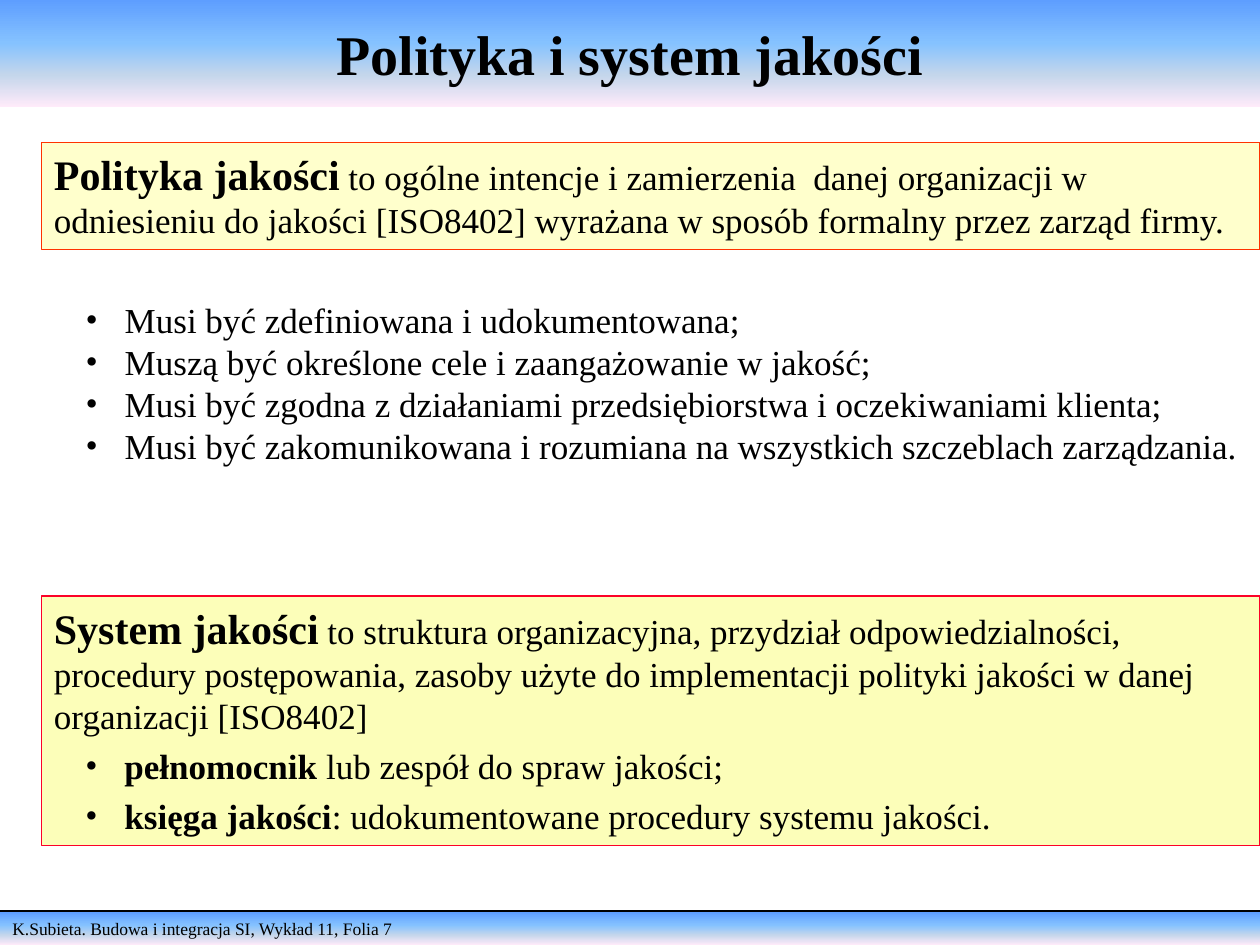
from copy import deepcopy

from lxml import etree
from pptx import Presentation
from pptx.dml.color import RGBColor
from pptx.enum.shapes import MSO_CONNECTOR, MSO_SHAPE
from pptx.enum.text import MSO_ANCHOR, MSO_AUTO_SIZE, PP_ALIGN
from pptx.oxml.ns import qn
from pptx.util import Inches, Pt

RECT = MSO_SHAPE.RECTANGLE
LINE = MSO_CONNECTOR.STRAIGHT
TOP, MIDDLE = MSO_ANCHOR.TOP, MSO_ANCHOR.MIDDLE
LEFT, CENTER = PP_ALIGN.LEFT, PP_ALIGN.CENTER
FIXED = MSO_AUTO_SIZE.NONE

BLACK = RGBColor(0x00, 0x00, 0x00)
CREAM = RGBColor(0xFF, 0xFF, 0xCC)
YELLOW = RGBColor(0xFC, 0xFE, 0xB9)
ORANGE = RGBColor(0xFF, 0x33, 0x00)
RED = RGBColor(0xFC, 0x01, 0x28)
SKY = [
    (0, RGBColor(0x5E, 0x9E, 0xFF)),
    (0.4, RGBColor(0x85, 0xC2, 0xFF)),
    (0.7, RGBColor(0xC4, 0xD6, 0xEB)),
    (1, RGBColor(0xFF, 0xEB, 0xFA)),
]

FONT = "Times New Roman"
HEAD = {"size": Pt(32), "bold": True}
TERM = {"size": Pt(24), "bold": True}
BOLD = {"size": Pt(20), "bold": True}
BODY = {"size": Pt(20), "bold": False}
SMALL = {"size": Pt(10), "bold": False}

RULES = [
    "Musi być zdefiniowana i udokumentowana;",
    "Muszą być określone cele i zaangażowanie w jakość;",
    "Musi być zgodna z działaniami przedsiębiorstwa i oczekiwaniami klienta;",
    "Musi być zakomunikowana i rozumiana na wszystkich szczeblach zarządzania.",
]
POLICY = [
    ("Polityka jakości", TERM),
    (" to ogólne intencje i zamierzenia  danej organizacji w odniesieniu do jakości "
     "[ISO8402] wyrażana w sposób formalny przez zarząd firmy.", BODY),
]
SYSTEM = [
    ("System jakości", TERM),
    (" to struktura organizacyjna, przydział odpowiedzialności, procedury postępowania, "
     "zasoby użyte do implementacji polityki jakości w danej organizacji [ISO8402]", BODY),
]
PARTS = [
    [("pełnomocnik", BOLD), (" lub zespół do spraw jakości;", BODY)],
    [("księga jakości", BOLD), (": udokumentowane procedury systemu jakości.", BODY)],
]


def place(shape, box):
    """Move a shape to a box given in inches."""
    for name, size in zip(("left", "top", "width", "height"), box):
        setattr(shape, name, Inches(size))


def shade(shape):
    """Fill a shape with the sky gradient from top to bottom."""
    shape.fill.gradient()
    shape.fill.gradient_angle = 270
    stops = shape.fill.gradient_stops
    rack = shape._element.spPr.find(".//" + qn("a:gsLst"))
    for _ in range(len(SKY) - len(stops)):
        rack.append(deepcopy(rack[0]))
    for stop, (spot, color) in zip(shape.fill.gradient_stops, SKY):
        stop.position = spot
        stop.color.rgb = color


def dot(para):
    """Give a paragraph a hanging round bullet."""
    props = para._p.get_or_add_pPr()
    props.set("marL", str(Inches(0.56)))
    props.set("indent", str(Inches(-0.31)))
    etree.SubElement(props, qn("a:buFont")).set("typeface", FONT)
    etree.SubElement(props, qn("a:buChar")).set("char", "•")


def write(shape, paras, anchor=TOP, align=LEFT, gap=0, plain=0):
    """Write paragraphs of styled runs, with bullets after the plain ones."""
    frame = shape.text_frame
    form = {"word_wrap": True, "auto_size": FIXED, "vertical_anchor": anchor}
    for name, value in form.items():
        setattr(frame, name, value)
    for spot, runs in enumerate(paras):
        para = frame.add_paragraph() if spot else frame.paragraphs[0]
        para.alignment = align
        para.space_before = Pt(gap)
        if spot >= plain:
            dot(para)
        for text, style in runs:
            run = para.add_run()
            run.text = text
            for name, value in {"name": FONT, **style}.items():
                setattr(run.font, name, value)
            run.font.color.rgb = BLACK


def add_box(slide, box):
    """Add a flat rectangle without a shadow."""
    shape = slide.shapes.add_shape(RECT, *map(Inches, box))
    shape.shadow.inherit = False
    return shape


def add_title(slide, box):
    """Set the title on its shaded band."""
    title = slide.shapes.title
    place(title, box)
    shade(title)
    write(title, [[("Polityka i system jakości", HEAD)]], MIDDLE, CENTER, plain=1)


def add_list(slide, box):
    """Set the list of policy rules in the body placeholder."""
    body = slide.placeholders[1]
    place(body, box)
    write(body, [[(rule, BODY)] for rule in RULES])


def add_panel(slide, box, paras, fill, edge):
    """Add a framed definition with optional bullets below it."""
    panel = add_box(slide, box)
    panel.fill.solid()
    panel.fill.fore_color.rgb = fill
    panel.line.color.rgb = edge
    panel.line.width = Pt(1)
    write(panel, paras, gap=4.5, plain=1)


def add_footer(slide, box):
    """Add the shaded footer band and the rule above it."""
    band = add_box(slide, box)
    shade(band)
    band.line.fill.background()
    text = "K.Subieta. Budowa i integracja SI, Wykład 11, Folia 7"
    write(band, [[(text, SMALL)]], plain=1)
    left, top, width, _ = box
    y = Inches(top - 0.01)
    rule = slide.shapes.add_connector(LINE, Inches(left), y, Inches(left + width), y)
    rule.line.color.rgb = BLACK
    rule.line.width = Pt(1)
    etree.SubElement(rule._element.spPr, qn("a:effectLst"))


def main():
    """Build the slide and save it."""
    deck = Presentation()
    deck.slide_width, deck.slide_height = Inches(10), Inches(7.5)
    slide = deck.slides.add_slide(deck.slide_layouts[1])
    add_footer(slide, (0, 7.24, 10, 0.26))
    add_panel(slide, (0.33, 1.13, 9.67, 0.85), [POLICY], CREAM, ORANGE)
    add_title(slide, (0, 0, 10, 0.85))
    add_list(slide, (0.33, 2.32, 9.67, 1.43))
    add_panel(slide, (0.33, 4.73, 9.67, 1.98), [SYSTEM, *PARTS], YELLOW, RED)
    deck.save("out.pptx")


if __name__ == "__main__":
    main()
